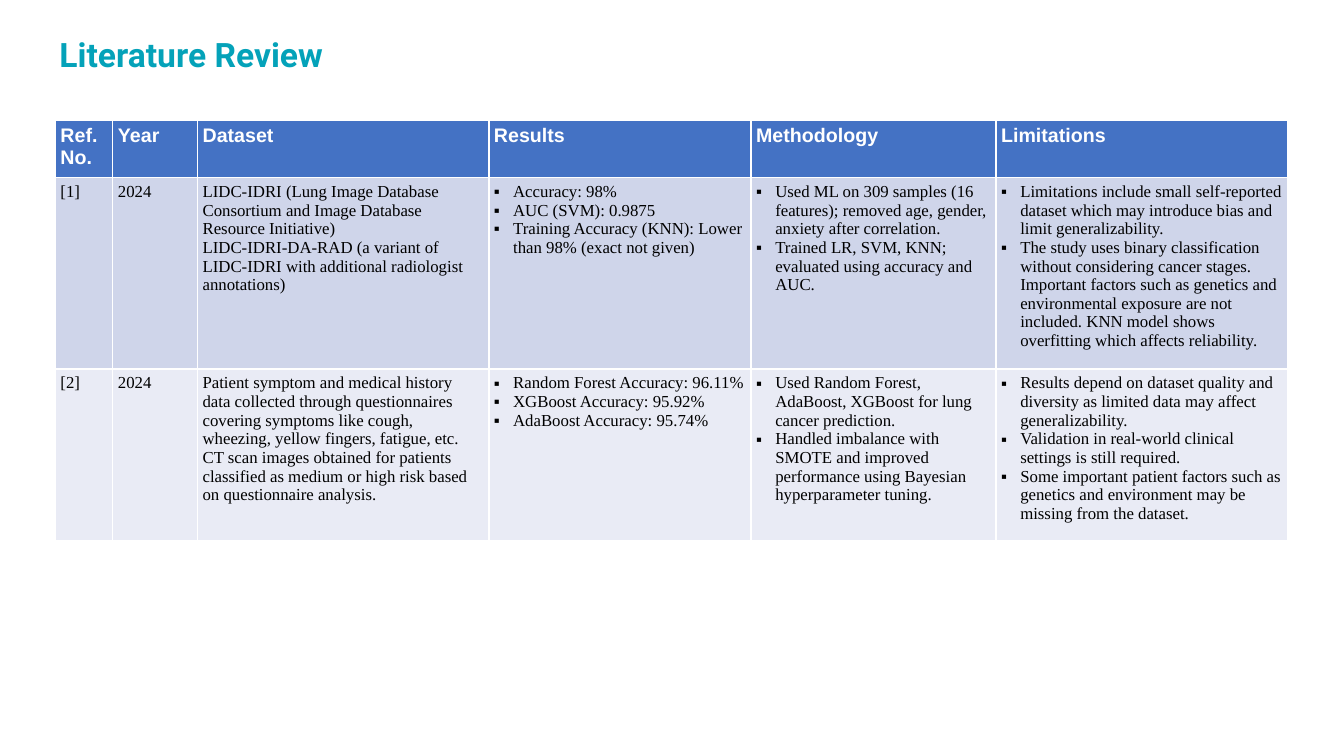
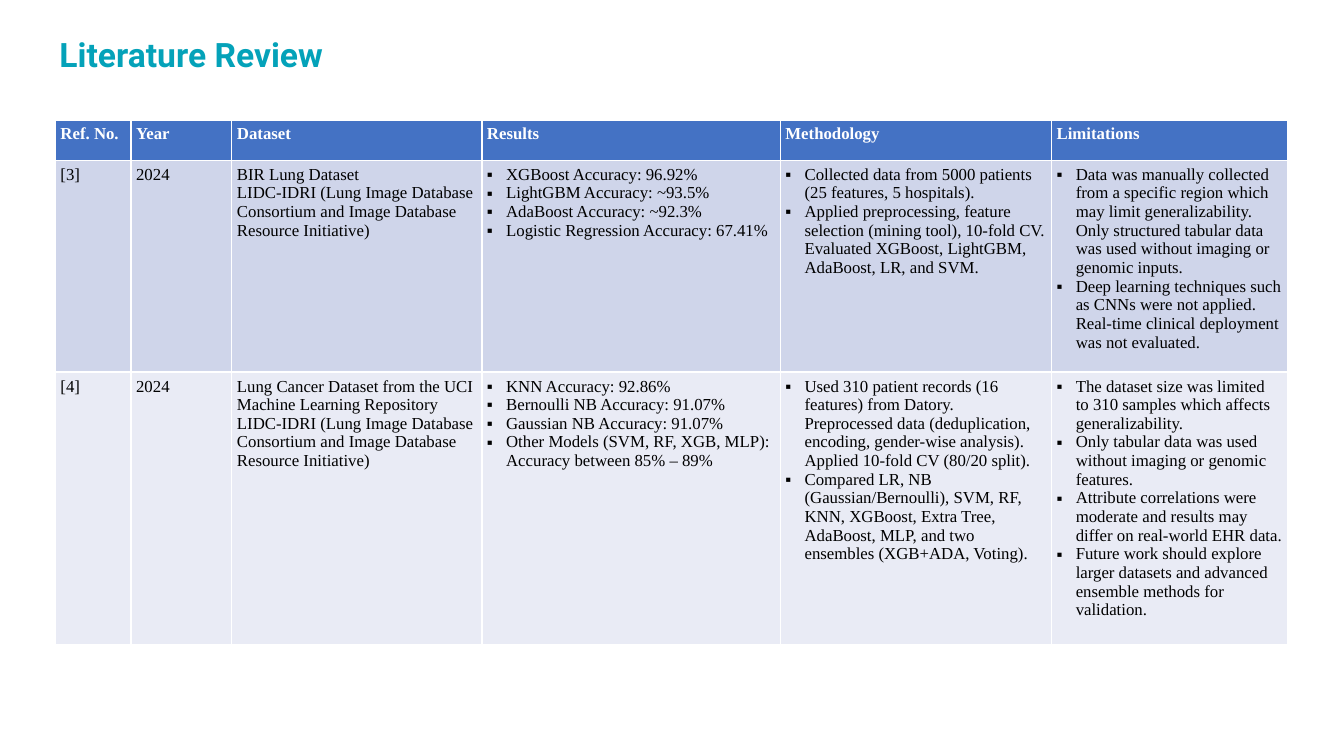
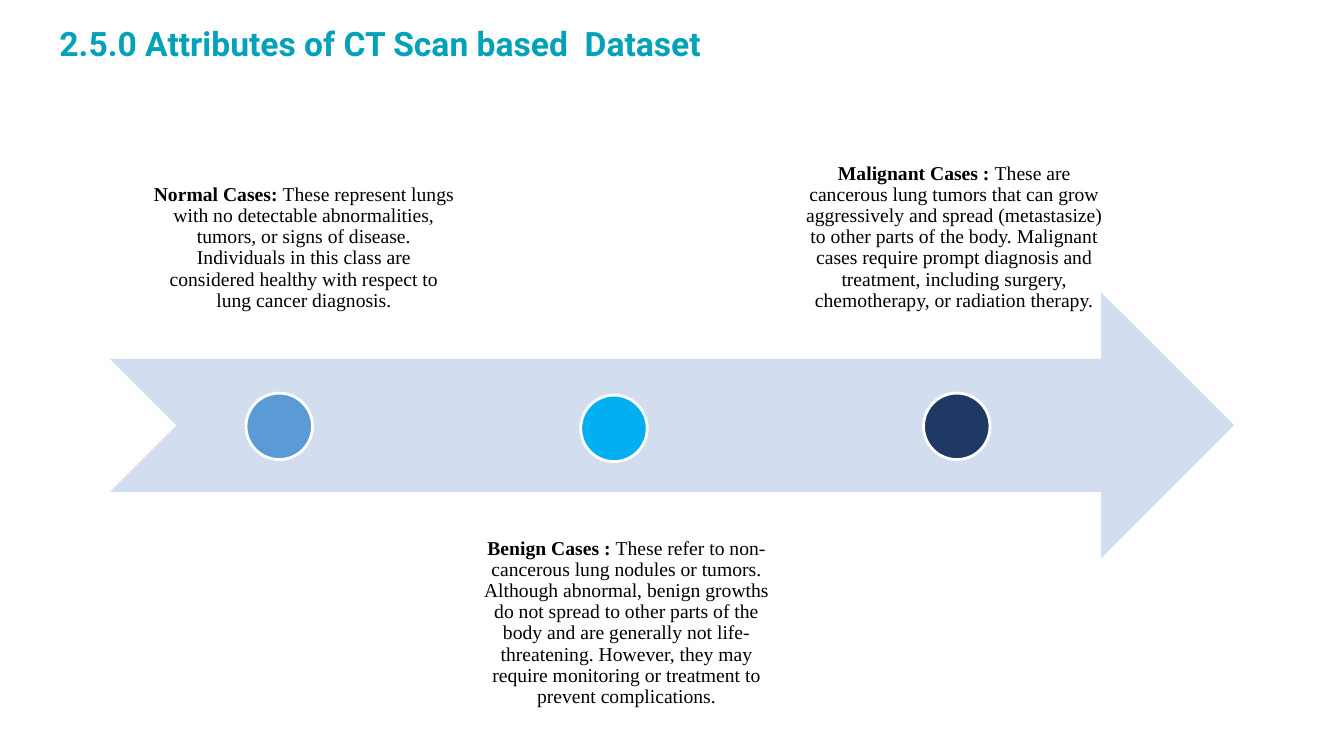
from lxml import etree
from pptx import Presentation
from pptx.dml.color import RGBColor
from pptx.enum.shapes import MSO_SHAPE as SHAPE
from pptx.enum.text import MSO_ANCHOR as ANCHOR, MSO_AUTO_SIZE as AUTO, PP_ALIGN as ALIGN
from pptx.oxml.ns import qn
from pptx.util import Inches, Pt

TEAL, WHITE, BLACK = "04A2B9", "FFFFFF", "000000"
HEADER_FILL, ROW_FILLS = "4472C4", ["CFD5EA", "E9EBF5"]
SERIF = "Times New Roman"
HEADINGS = ["Ref. No.", "Year", "Dataset", "Results", "Methodology", "Limitations"]
FIRST_BULLET_COL = 3
LIDC = "LIDC-IDRI (Lung Image Database Consortium and Image Database Resource Initiative)"


def rgb(value):
    return RGBColor.from_string(value)


def add_text(p, text, size=12, font=SERIF, color=BLACK, bold=False, bullet=False):
    if bullet:
        pPr = p._p.get_or_add_pPr()
        pPr.set("marL", str(Inches(0.19)))
        pPr.set("indent", str(-Inches(0.19)))
        etree.SubElement(pPr, qn("a:buFont"), typeface="Arial")
        etree.SubElement(pPr, qn("a:buChar"), char="▪")
    r = p.add_run()
    r.text = text
    r.font.size, r.font.name, r.font.bold = Pt(size), font, bold
    r.font.color.rgb = rgb(color)


prs = Presentation()
prs.slide_width, prs.slide_height = Inches(13.33), Inches(7.5)

# Slides with their shared title style
slides = []
for title, top, width in [
    ("Literature Review", 0.32, 2.95),
    ("Literature Review", 0.32, 2.95),
    ("2.5.0 Attributes of CT Scan based  Dataset", 0.21, 7.35),
]:
    s = prs.slides.add_slide(prs.slide_layouts[5])
    sp = s.shapes.title
    sp.left, sp.top, sp.width, sp.height = map(Inches, (0.58, top, width, 0.42))
    tf = sp.text_frame
    tf.auto_size = AUTO.SHAPE_TO_FIT_TEXT
    tf.vertical_anchor = ANCHOR.MIDDLE
    tf.margin_left = tf.margin_top = Inches(0.01)
    tf.margin_right = tf.margin_bottom = 0
    tf.paragraphs[0].alignment = ALIGN.LEFT
    add_text(tf.paragraphs[0], title, size=24, font="Roboto", color=TEAL, bold=True)
    slides.append(s)

# Literature tables: each cell is a list of paragraphs
studies_1_2 = [
    [["[1]"], ["2024"],
     [LIDC, "LIDC-IDRI-DA-RAD (a variant of LIDC-IDRI with additional radiologist annotations)"],
     ["Accuracy: 98%", "AUC (SVM): 0.9875",
      "Training Accuracy (KNN): Lower than 98% (exact not given)"],
     ["Used ML on 309 samples (16 features); removed age, gender, anxiety after correlation.",
      "Trained LR, SVM, KNN; evaluated using accuracy and AUC."],
     ["Limitations include small self-reported dataset which may introduce bias and limit "
      "generalizability.",
      "The study uses binary classification without considering cancer stages. Important "
      "factors such as genetics and environmental exposure are not included. KNN model shows "
      "overfitting which affects reliability."]],
    [["[2]"], ["2024"],
     ["Patient symptom and medical history data collected through questionnaires covering "
      "symptoms like cough, wheezing, yellow fingers, fatigue, etc.",
      "CT scan images obtained for patients classified as medium or high risk based on "
      "questionnaire analysis."],
     ["Random Forest Accuracy: 96.11%", "XGBoost Accuracy: 95.92%",
      "AdaBoost Accuracy: 95.74%"],
     ["Used Random Forest, AdaBoost, XGBoost for lung cancer prediction.",
      "Handled imbalance with SMOTE and improved performance using Bayesian hyperparameter "
      "tuning."],
     ["Results depend on dataset quality and diversity as limited data may affect "
      "generalizability.",
      "Validation in real-world clinical settings is still required.",
      "Some important patient factors such as genetics and environment may be missing from "
      "the dataset."]],
]
studies_3_4 = [
    [["[3]"], ["2024"],
     ["BIR Lung Dataset", LIDC],
     ["XGBoost Accuracy: 96.92%", "LightGBM Accuracy: ~93.5%", "AdaBoost Accuracy: ~92.3%",
      "Logistic Regression Accuracy: 67.41%"],
     ["Collected data from 5000 patients (25 features, 5 hospitals).",
      "Applied preprocessing, feature selection (mining tool), 10-fold CV. Evaluated XGBoost, "
      "LightGBM, AdaBoost, LR, and SVM."],
     ["Data was manually collected from a specific region which may limit generalizability. "
      "Only structured tabular data was used without imaging or genomic inputs.",
      "Deep learning techniques such as CNNs were not applied. Real-time clinical deployment "
      "was not evaluated."]],
    [["[4]"], ["2024"],
     ["Lung Cancer Dataset from the UCI Machine Learning Repository", LIDC],
     ["KNN Accuracy: 92.86%", "Bernoulli NB Accuracy: 91.07%", "Gaussian NB Accuracy: 91.07%",
      "Other Models (SVM, RF, XGB, MLP): Accuracy between 85% – 89%"],
     ["Used 310 patient records (16 features) from Datory. Preprocessed data (deduplication, "
      "encoding, gender-wise analysis). Applied 10-fold CV (80/20 split).",
      "Compared LR, NB (Gaussian/Bernoulli), SVM, RF, KNN, XGBoost, Extra Tree, AdaBoost, MLP, "
      "and two ensembles (XGB+ADA, Voting)."],
     ["The dataset size was limited to 310 samples which affects generalizability.",
      "Only tabular data was used without imaging or genomic features.",
      "Attribute correlations were moderate and results may differ on real-world EHR data.",
      "Future work should explore larger datasets and advanced ensemble methods for "
      "validation."]],
]
tables = [
    (studies_1_2, [0.57, 0.84, 2.89, 2.6, 2.43, 2.89], [0.57, 1.9, 1.7],
     dict(size=14, font="Arial")),
    (studies_3_4, [0.75, 1, 2.48, 2.96, 2.69, 2.34], [0.4, 2.1, 2.69],
     dict(size=12, font=SERIF)),
]
for s, (studies, widths, heights, header_format) in zip(slides, tables):
    table = s.shapes.add_table(
        len(heights), len(widths), Inches(0.55), Inches(1.19),
        Inches(sum(widths)), Inches(sum(heights))).table
    for col, width in zip(table.columns, widths):
        col.width = Inches(width)
    for row, height in zip(table.rows, heights):
        row.height = Inches(height)

    rows = [[[heading] for heading in HEADINGS]] + studies
    for i, row in enumerate(rows):
        for j, paragraphs in enumerate(row):
            cell = table.cell(i, j)
            cell.margin_left = cell.margin_right = Inches(0.05)
            cell.margin_top = cell.margin_bottom = Inches(0.05)
            cell.fill.solid()
            cell.fill.fore_color.rgb = rgb(ROW_FILLS[i - 1] if i else HEADER_FILL)
            tf = cell.text_frame
            for k, text in enumerate(paragraphs):
                p = tf.add_paragraph() if k else tf.paragraphs[0]
                if i == 0:
                    add_text(p, text, color=WHITE, bold=True, **header_format)
                else:
                    add_text(p, text, bullet=j >= FIRST_BULLET_COL)

# Timeline arrow
s = slides[2]
arrow = s.shapes.add_shape(SHAPE.NOTCHED_RIGHT_ARROW,
                           Inches(1.09), Inches(2.9), Inches(11.15), Inches(2.64))
arrow.shadow.inherit = False
arrow.fill.solid()
arrow.fill.fore_color.rgb = rgb("D2DEEF")
arrow.line.fill.background()

# Case descriptions and their markers on the arrow
cases = [
    ("Normal Cases: ",
     "These represent lungs with no detectable abnormalities, tumors, or signs of disease. "
     "Individuals in this class are considered healthy with respect to lung cancer diagnosis.",
     (1.4, 1.87, 3.23, 1.33), ANCHOR.BOTTOM, (2.44, 3.9), "5B9BD5"),
    ("Benign Cases : ",
     "These refer to non-cancerous lung nodules or tumors. Although abnormal, benign growths do "
     "not spread to other parts of the body and are generally not life-threatening. However, "
     "they may require monitoring or treatment to prevent complications.",
     (4.6, 5.23, 3.23, 1.37), ANCHOR.TOP, (5.76, 3.92), "00B0F0"),
    ("Malignant Cases : ",
     "These are cancerous lung tumors that can grow aggressively and spread (metastasize) to "
     "other parts of the body. Malignant cases require prompt diagnosis and treatment, "
     "including surgery, chemotherapy, or radiation therapy.",
     (7.85, 1.57, 3.23, 1.63), ANCHOR.BOTTOM, (9.16, 3.9), "203864"),
]
for name, description, box, anchor, (left, top), color in cases:
    tf = s.shapes.add_textbox(*map(Inches, box)).text_frame
    tf.word_wrap = True
    tf.vertical_anchor = anchor
    tf.margin_left = tf.margin_right = tf.margin_top = tf.margin_bottom = Inches(0.11)
    p = tf.paragraphs[0]
    p.alignment = ALIGN.CENTER
    p.line_spacing = 0.9
    add_text(p, name, size=14, bold=True)
    add_text(p, description, size=14)

    marker = s.shapes.add_shape(SHAPE.OVAL, Inches(left), Inches(top), Inches(0.66), Inches(0.66))
    marker.shadow.inherit = False
    marker.fill.solid()
    marker.fill.fore_color.rgb = rgb(color)
    marker.line.color.rgb = rgb(WHITE)
    marker.line.width = Pt(2)

prs.save("out.pptx")
